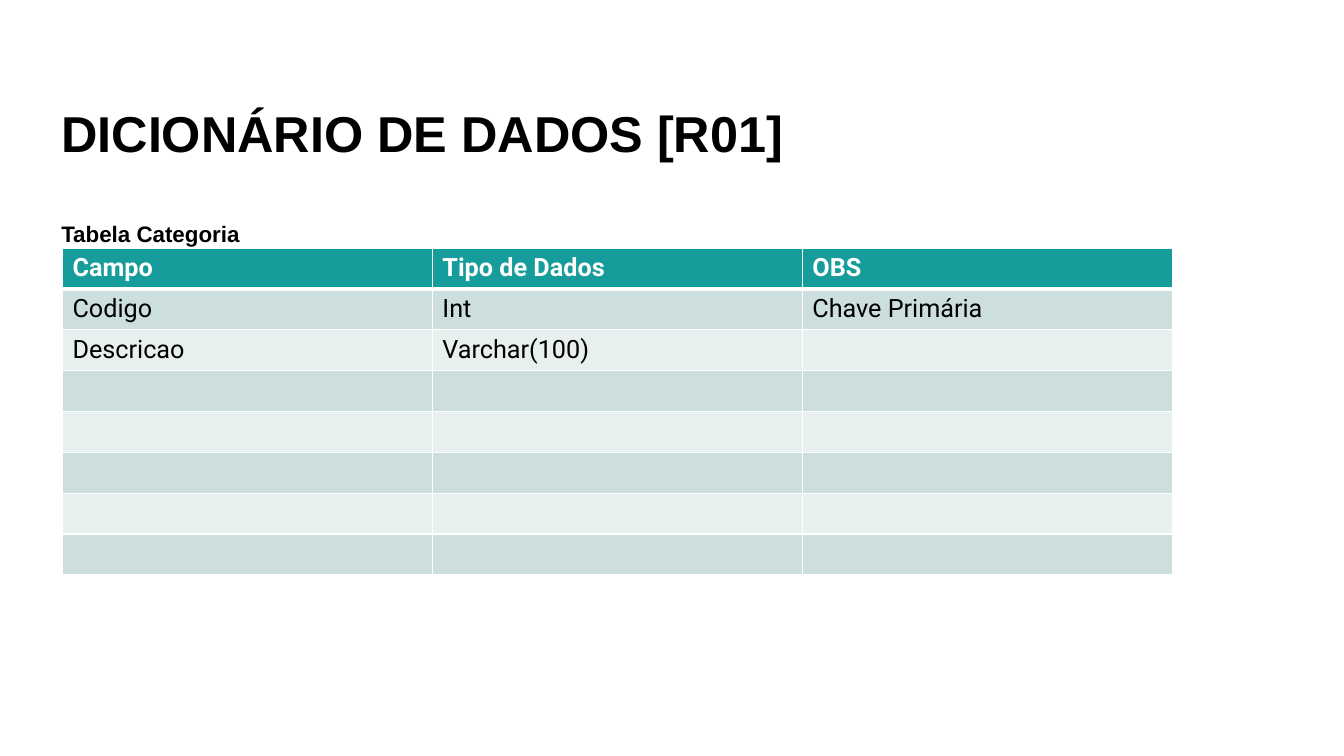
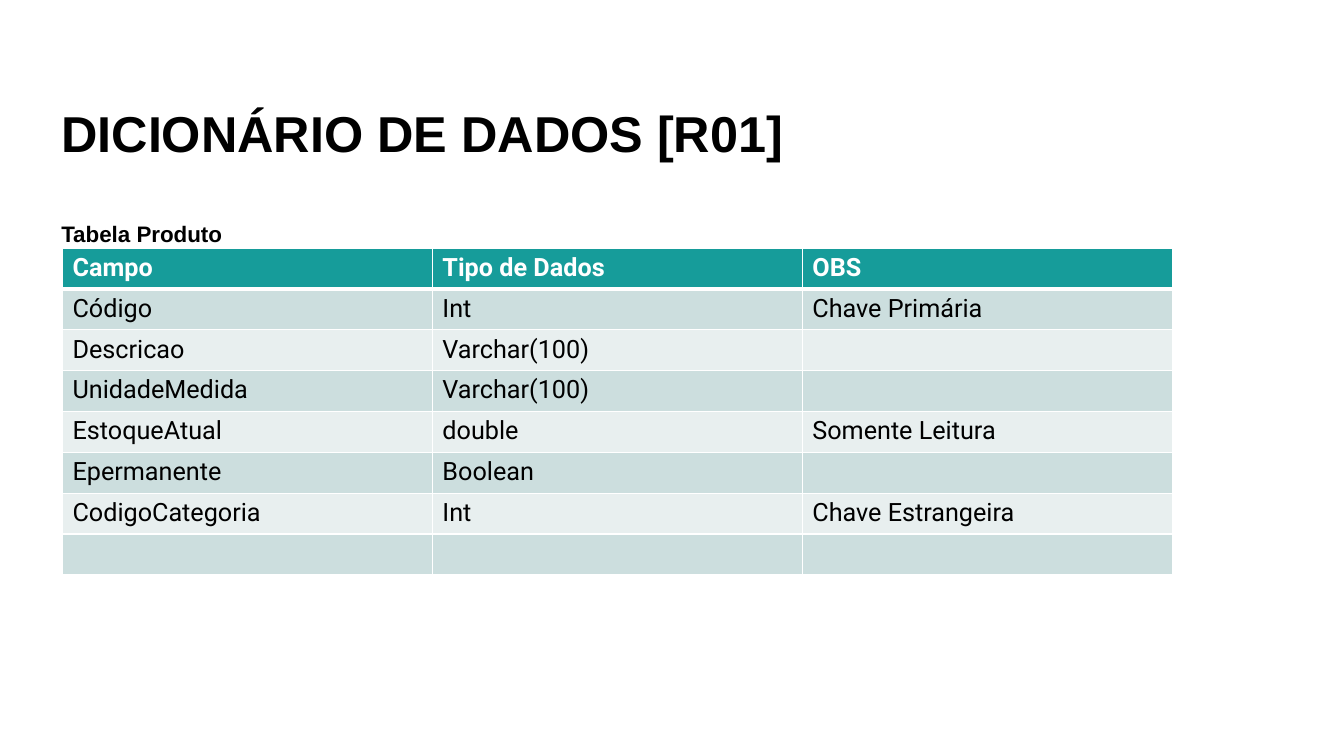
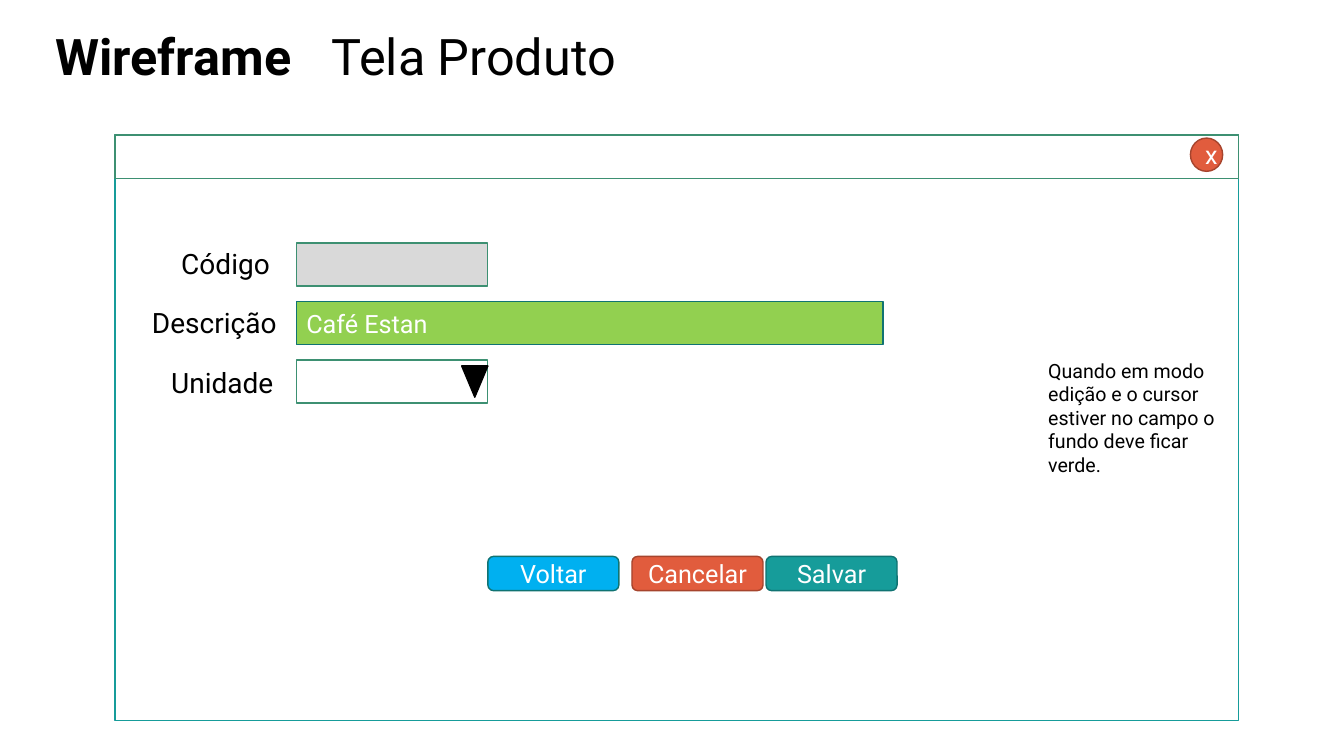
from pptx import Presentation
from pptx.dml.color import RGBColor
from pptx.enum.shapes import MSO_SHAPE
from pptx.enum.text import MSO_ANCHOR, PP_ALIGN
from pptx.oxml import parse_xml
from pptx.oxml.ns import nsdecls
from pptx.util import Pt

# Colours
BLACK = RGBColor(0x00, 0x00, 0x00)
WHITE = RGBColor(0xFF, 0xFF, 0xFF)
TEAL = RGBColor(0x16, 0x9C, 0x9A)
DEEP = RGBColor(0x10, 0x73, 0x72)
GREEN = RGBColor(0x3D, 0x90, 0x72)
LIME = RGBColor(0x92, 0xD0, 0x50)
RED = RGBColor(0xE1, 0x5C, 0x3D)
RUST = RGBColor(0xA6, 0x44, 0x2D)
BLUE = RGBColor(0x00, 0xB0, 0xF0)
GREY = RGBColor(0xD9, 0xD9, 0xD9)
BANDS = (RGBColor(0xCC, 0xDE, 0xDE), RGBColor(0xE8, 0xEF, 0xEF))

# Text formats
HEAD = {"name": "Arial", "size": Pt(36), "bold": True}
CAPTION = {**HEAD, "size": Pt(16)}
TITLE = {"name": "Roboto", "size": Pt(36), "bold": False}
STRONG = {**TITLE, "bold": True}
LABEL = {**TITLE, "size": Pt(20)}
BODY = {**TITLE, "size": Pt(18)}
NOTE = {**TITLE, "size": Pt(14)}

# Tables: column names, row count and contents
FIELDS = ("Campo", "Tipo de Dados", "OBS")
ROWS = 8
GROUPS = {
    "Tabela Categoria": (
        ("Codigo", "Int", "Chave Primária"),
        ("Descricao", "Varchar(100)", ""),
    ),
    "Tabela Produto": (
        ("Código", "Int", "Chave Primária"),
        ("Descricao", "Varchar(100)", ""),
        ("UnidadeMedida", "Varchar(100)", ""),
        ("EstoqueAtual", "double", "Somente Leitura"),
        ("Epermanente", "Boolean", ""),
        ("CodigoCategoria", "Int", "Chave Estrangeira"),
    ),
}


def write(frame, text, style, color=BLACK, align=PP_ALIGN.LEFT):
    para = frame.paragraphs[0]
    para.alignment = align
    run = para.add_run()
    run.text = text
    for key, value in style.items():
        setattr(run.font, key, value)
    run.font.color.rgb = color
    return para


def add_text(slide, box, text, style, anchor=MSO_ANCHOR.BOTTOM, space=0.9):
    frame = slide.shapes.add_textbox(*map(Pt, box)).text_frame
    frame.word_wrap = True
    frame.vertical_anchor = anchor
    write(frame, text, style).line_spacing = space


def add_box(slide, kind, box, fill, line, text="", align=PP_ALIGN.CENTER):
    shape = slide.shapes.add_shape(kind, *map(Pt, box))
    shape.shadow.inherit = False
    shape.fill.solid()
    shape.fill.fore_color.rgb = fill
    shape.line.color.rgb = line
    shape.line.width = Pt(1)
    if text:
        write(shape.text_frame, text, BODY, WHITE, align)
    return shape


def paint(cell, fill, base):
    # Borders come before the fill in the cell properties
    props = cell._tc.get_or_add_tcPr()
    for side, width in (("L", 1), ("R", 1), ("T", 1), ("B", base)):
        props.append(parse_xml(
            f'<a:ln{side} {nsdecls("a")} w="{Pt(width)}"><a:solidFill>'
            f'<a:srgbClr val="{WHITE}"/></a:solidFill></a:ln{side}>'))
    cell.fill.solid()
    cell.fill.fore_color.rgb = fill


def add_grid(slide, data):
    cols = len(FIELDS)
    box = map(Pt, (44.64, 177.12, 792.72, 233.6))
    table = slide.shapes.add_table(ROWS, cols, *box).table
    lines = [FIELDS, *data]
    lines += [("",) * cols] * (ROWS - len(lines))
    for num, line in enumerate(lines):
        top = num == 0
        for col, text in enumerate(line):
            cell = table.cell(num, col)
            paint(cell, TEAL if top else BANDS[(num - 1) % 2], 3 if top else 1)
            if text:
                write(cell.text_frame, text, {**BODY, "bold": top},
                      WHITE if top else BLACK)


def add_dict(slide, name, data):
    add_text(slide, (36.72, 0, 828, 120.24), "DICIONÁRIO DE DADOS [R01]", HEAD)
    add_grid(slide, data)
    add_text(slide, (36.72, 59.76, 828, 120.24), name, CAPTION)


def add_frame(slide):
    # Title in two weights
    for left, text, style in ((229.68, "Tela Produto", TITLE),
                              (32.4, "Wireframe", STRONG)):
        add_text(slide, (left, -54.72, 465.84, 120.24), text, style)

    # Window with title bar and close button
    rect = MSO_SHAPE.RECTANGLE
    for high, line in ((418.32, TEAL), (30.96, GREEN)):
        add_box(slide, rect, (82.08, 96.48, 802.8, high), WHITE, line)
    add_box(slide, MSO_SHAPE.OVAL, (850.32, 98.64, 23.04, 23.76), RED, RUST, "x")

    # Form rows: label and field
    form = (
        ("Código", 122.4, 136.8, GREY, GREEN, ""),
        ("Descrição", 101.52, 419.04, LIME, DEEP, "Café Estan"),
        ("Unidade", 115.2, 136.8, WHITE, GREEN, ""),
    )
    for num, (label, left, wide, fill, line, text) in enumerate(form):
        add_text(slide, (left, 160.56 + 42.48 * num, 465.84, 43.2), label, LABEL)
        add_box(slide, rect, (211.68, 173.52 + 41.76 * num, wide, 30.96),
                fill, line, text, PP_ALIGN.LEFT)
    arrow = add_box(slide, MSO_SHAPE.ISOSCELES_TRIANGLE,
                    (329.76, 261.36, 18.72, 22.32), BLACK, BLACK)
    arrow.rotation = 180

    # Buttons
    for left, text, fill, line in ((348.48, "Voltar", BLUE, DEEP),
                                   (451.44, "Cancelar", RED, RUST),
                                   (547.2, "Salvar", TEAL, DEEP)):
        add_box(slide, MSO_SHAPE.ROUNDED_RECTANGLE,
                (left, 397.44, 93.6, 24.48), fill, line, text)

    # Side note
    add_text(slide, (741.6, 252.72, 140.4, 92.16),
             "Quando em modo edição e o cursor estiver no campo o fundo "
             "deve ficar verde.", NOTE, MSO_ANCHOR.TOP, 1.0)


def main():
    deck = Presentation()
    deck.slide_width, deck.slide_height = Pt(960), Pt(540)
    blank = deck.slide_layouts[6]
    for name, data in GROUPS.items():
        add_dict(deck.slides.add_slide(blank), name, data)
    add_frame(deck.slides.add_slide(blank))
    deck.save("out.pptx")


if __name__ == "__main__":
    main()
